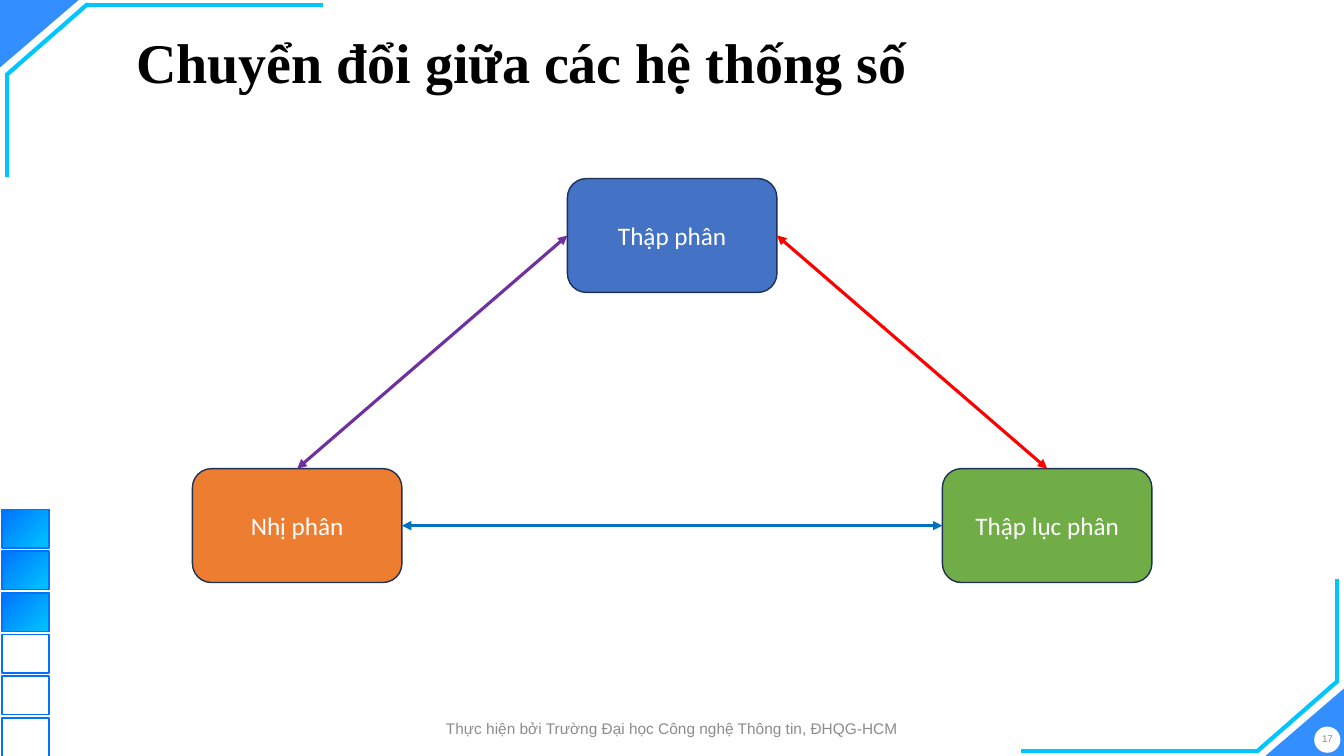
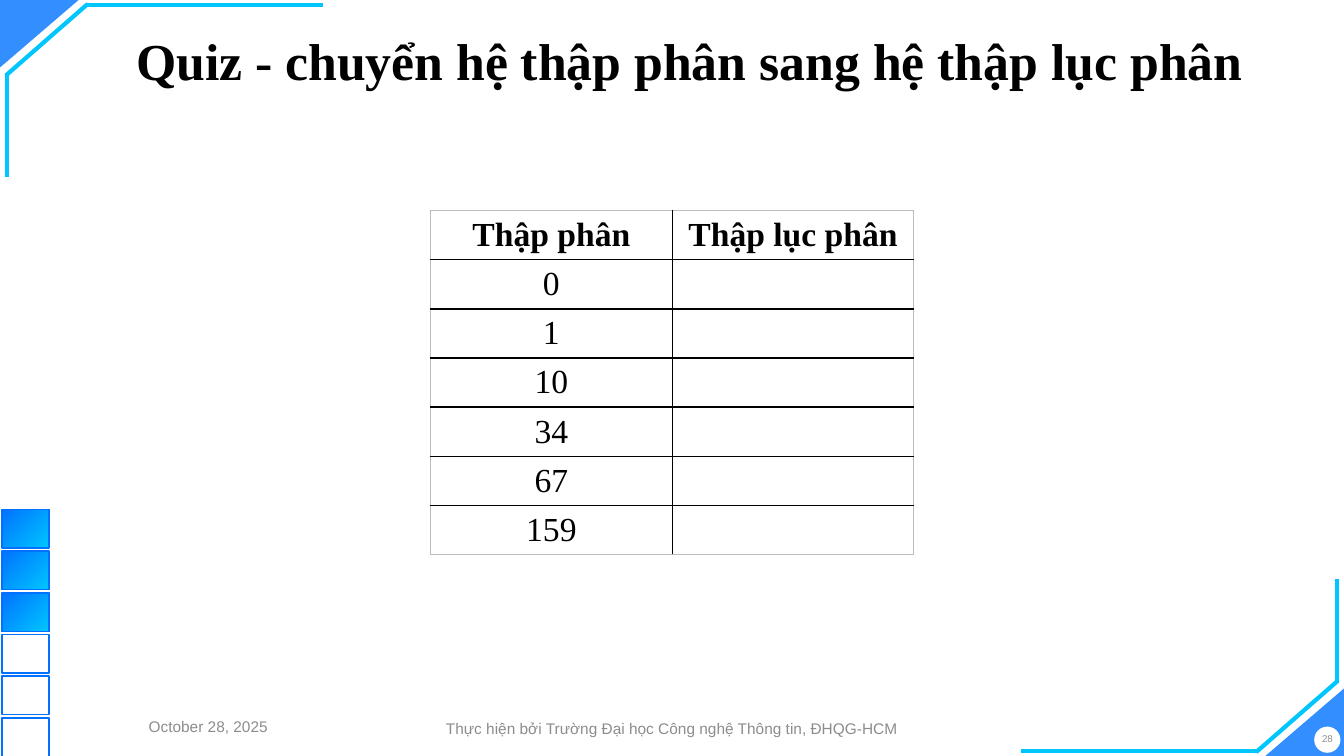
from lxml import etree
from pptx import Presentation
from pptx.dml.color import RGBColor
from pptx.enum.shapes import MSO_CONNECTOR, MSO_SHAPE
from pptx.enum.text import MSO_ANCHOR, PP_ALIGN
from pptx.oxml.ns import qn
from pptx.util import Cm, Pt

STRAIGHT = MSO_CONNECTOR.STRAIGHT
RECT, ROUND_RECT = MSO_SHAPE.RECTANGLE, MSO_SHAPE.ROUNDED_RECTANGLE
TRIANGLE, OVAL = MSO_SHAPE.ISOSCELES_TRIANGLE, MSO_SHAPE.OVAL
LEFT, CENTER, MIDDLE = PP_ALIGN.LEFT, PP_ALIGN.CENTER, MSO_ANCHOR.MIDDLE
TOP_SITE, LEFT_SITE, RIGHT_SITE = 0, 1, 3

rgb = RGBColor.from_string
BLUE, CYAN, WHITE, BLACK, GREY = "0072FF", "00C6FF", "FFFFFF", "000000", "8C8C8C"
BORDER = "BCBCBC"
W, H = 33.87, 19.05

TITLE = {"name": "Times New Roman", "bold": True}
FOOTER = {"name": "Arial", "size": Pt(11)}
NUMBER = {"name": "Arial", "size": Pt(7)}
BOX = {"name": "Calibri", "size": Pt(18)}
CELL = {"name": "Times New Roman", "size": Pt(24)}


def write(tf, text, fmt, color, align=CENTER):
    """Fill a text frame with one formatted, vertically centred paragraph."""
    tf.word_wrap = True
    tf.vertical_anchor = MIDDLE
    p = tf.paragraphs[0]
    p.alignment = align
    r = p.add_run()
    r.text = text
    for name, value in fmt.items():
        setattr(r.font, name, value)
    r.font.color.rgb = rgb(color)
    return p


def add_line(s, x1, y1, x2, y2, color, width):
    """Draw a straight line without shadow, with lengths in centimetres."""
    sp = s.shapes.add_connector(STRAIGHT, Cm(x1), Cm(y1), Cm(x2), Cm(y2))
    sp.line.color.rgb = rgb(color)
    sp.line.width = Pt(width)
    etree.SubElement(sp.element.spPr, qn("a:effectLst"))
    return sp


prs = Presentation()
prs.slide_width, prs.slide_height = Cm(W), Cm(H)

# Shared frame, title and footer
bracket = [(8.13, 0.13, 2.16, 0.13), (2.21, 0.1, 0.15, 1.9), (0.18, 4.47, 0.18, 1.85)]
pages = [
    ("Chuyển đổi giữa các hệ thống số", 40, 0.9, "17"),
    ("Quiz - chuyển hệ thập phân sang hệ thập lục phân", 37, 0.8, "28"),
]
for title, size, spacing, number in pages:
    s = prs.slides.add_slide(prs.slide_layouts[6])

    # Opposite corners, the second one turned by half a circle
    for x, y, angle in [(0, 0, 180), (W - 1.98, H - 1.7, 0)]:
        sp = s.shapes.add_shape(TRIANGLE, Cm(x), Cm(y), Cm(1.98), Cm(1.7))
        sp.adjustments[0] = 1
        sp.rotation = angle
        sp.shadow.inherit = False
        sp.fill.solid()
        sp.fill.fore_color.rgb = rgb(BLUE)
        clr = sp.element.spPr.find(qn("a:solidFill")).find(qn("a:srgbClr"))
        etree.SubElement(clr, qn("a:alpha"), val="80000")
        sp.line.fill.background()
    for x1, y1, x2, y2 in bracket:
        add_line(s, x1, y1, x2, y2, CYAN, 3)
        add_line(s, W - x1, H - y1, W - x2, H - y2, CYAN, 3)

    # Disc behind the page number
    sp = s.shapes.add_shape(OVAL, Cm(33.12), Cm(18.31), Cm(0.66), Cm(0.66))
    sp.shadow.inherit = False
    sp.fill.solid()
    sp.fill.fore_color.rgb = rgb(WHITE)
    sp.line.fill.background()

    # Column of squares: three filled, three open
    for i in range(6):
        sp = s.shapes.add_shape(RECT, Cm(0.05), Cm(12.84 + 1.05 * i), Cm(1.19), Cm(0.97))
        sp.shadow.inherit = False
        sp.line.color.rgb = rgb(BLUE)
        sp.line.width = Pt(1)
        if i < 3:
            sp.fill.gradient()
            sp.fill.gradient_angle = 315
            for stop, color in zip(sp.fill.gradient_stops, (BLUE, CYAN)):
                stop.color.rgb = rgb(color)
        else:
            sp.fill.background()

    sp = s.shapes.add_textbox(Cm(3.18), Cm(0.41), Cm(29.21), Cm(2.49))
    p = write(sp.text_frame, title, {**TITLE, "size": Pt(size)}, BLACK, LEFT)
    p.line_spacing = spacing

    sp = s.shapes.add_textbox(Cm(10.13), Cm(17.98), Cm(13.61), Cm(0.74))
    write(sp.text_frame, "Thực hiện bởi Trường Đại học Công nghệ Thông tin, ĐHQG-HCM",
          FOOTER, GREY)
    sp = s.shapes.add_textbox(Cm(33.05), Cm(18.21), Cm(0.81), Cm(0.81))
    tf = sp.text_frame
    tf.margin_left = tf.margin_right = 0
    write(tf, number, NUMBER, GREY)

diagram, quiz = prs.slides

# Slide 1: number systems
boxes = []
for text, x, y, color in [
    ("Thập phân", 14.3, 4.5, "4472C4"),
    ("Nhị phân", 4.85, 11.81, "ED7D31"),
    ("Thập lục phân", 23.75, 11.81, "70AD47"),
]:
    sp = diagram.shapes.add_shape(ROUND_RECT, Cm(x), Cm(y), Cm(5.28), Cm(2.87))
    sp.shadow.inherit = False
    sp.fill.solid()
    sp.fill.fore_color.rgb = rgb(color)
    sp.line.color.rgb = rgb("1D3155")
    sp.line.width = Pt(1)
    write(sp.text_frame, text, BOX, WHITE)
    boxes.append(sp)

# Two-way arrows between the boxes
decimal, binary, hexadecimal = boxes
for start, start_site, end, end_site, color in [
    (binary, TOP_SITE, decimal, LEFT_SITE, "7030A0"),
    (hexadecimal, TOP_SITE, decimal, RIGHT_SITE, "FF0000"),
    (binary, RIGHT_SITE, hexadecimal, LEFT_SITE, "0070C0"),
]:
    sp = add_line(diagram, 0, 0, 0, 0, color, 2.25)
    sp.begin_connect(start, start_site)
    sp.end_connect(end, end_site)
    ln = sp.element.spPr.find(qn("a:ln"))
    for tag in ("a:headEnd", "a:tailEnd"):
        etree.SubElement(ln, qn(tag), type="triangle")

# Slide 2: conversion table
rows = ["Thập phân", "0", "1", "10", "34", "67", "159"]
last = len(rows) - 1
table = quiz.shapes.add_table(len(rows), 2, Cm(10.85), Cm(5.31), Cm(12.18), Cm(8.44)).table
table.first_row = table.horz_banding = False
for i, text in enumerate(rows):
    for j, value in enumerate((text, "" if i else "Thập lục phân")):
        cell = table.cell(i, j)
        cell.margin_left = cell.margin_right = Cm(0.18)
        cell.margin_top = cell.margin_bottom = Cm(0.11)
        cell.vertical_anchor = MIDDLE
        if value:
            write(cell.text_frame, value, {**CELL, "bold": i == 0}, BLACK)

        # Grey outside, black inside
        tcPr = cell._tc.get_or_add_tcPr()
        outer = {"a:lnL": j == 0, "a:lnR": j == 1, "a:lnT": i == 0, "a:lnB": i == last}
        for tag, is_outer in outer.items():
            ln = etree.SubElement(tcPr, qn(tag), w=str(Pt(0.96)))
            fill = etree.SubElement(ln, qn("a:solidFill"))
            etree.SubElement(fill, qn("a:srgbClr"), val=BORDER if is_outer else BLACK)
        cell.fill.background()

sp = quiz.shapes.add_textbox(Cm(2.34), Cm(17.93), Cm(5.82), Cm(0.74))
write(sp.text_frame, "October 28, 2025", FOOTER, GREY)

prs.save("out.pptx")
